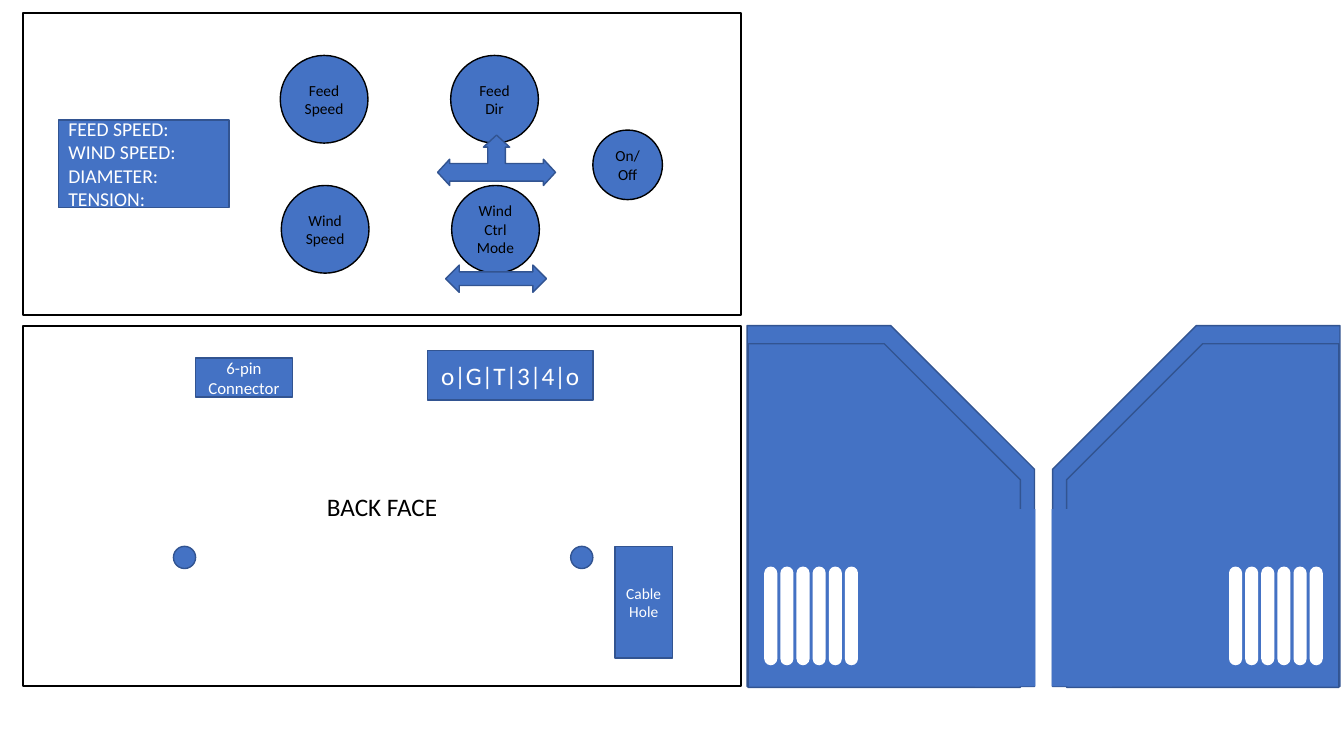
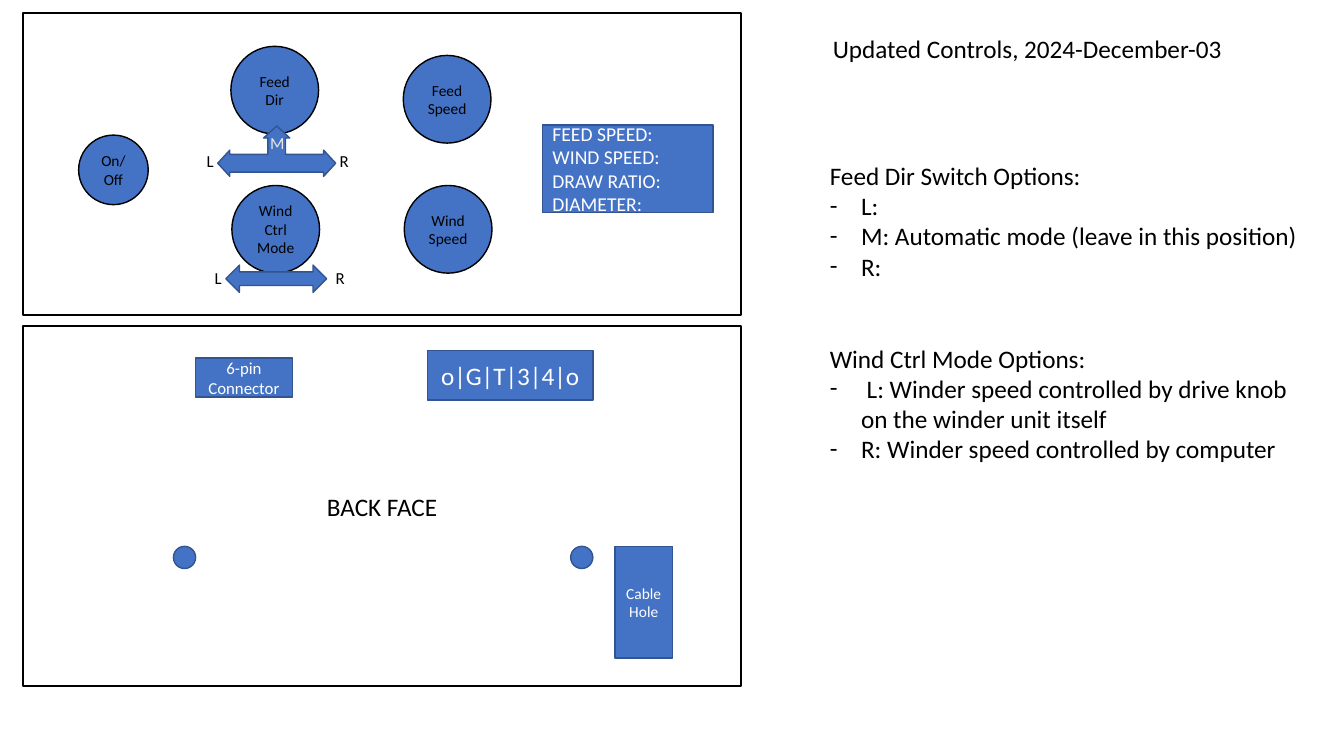
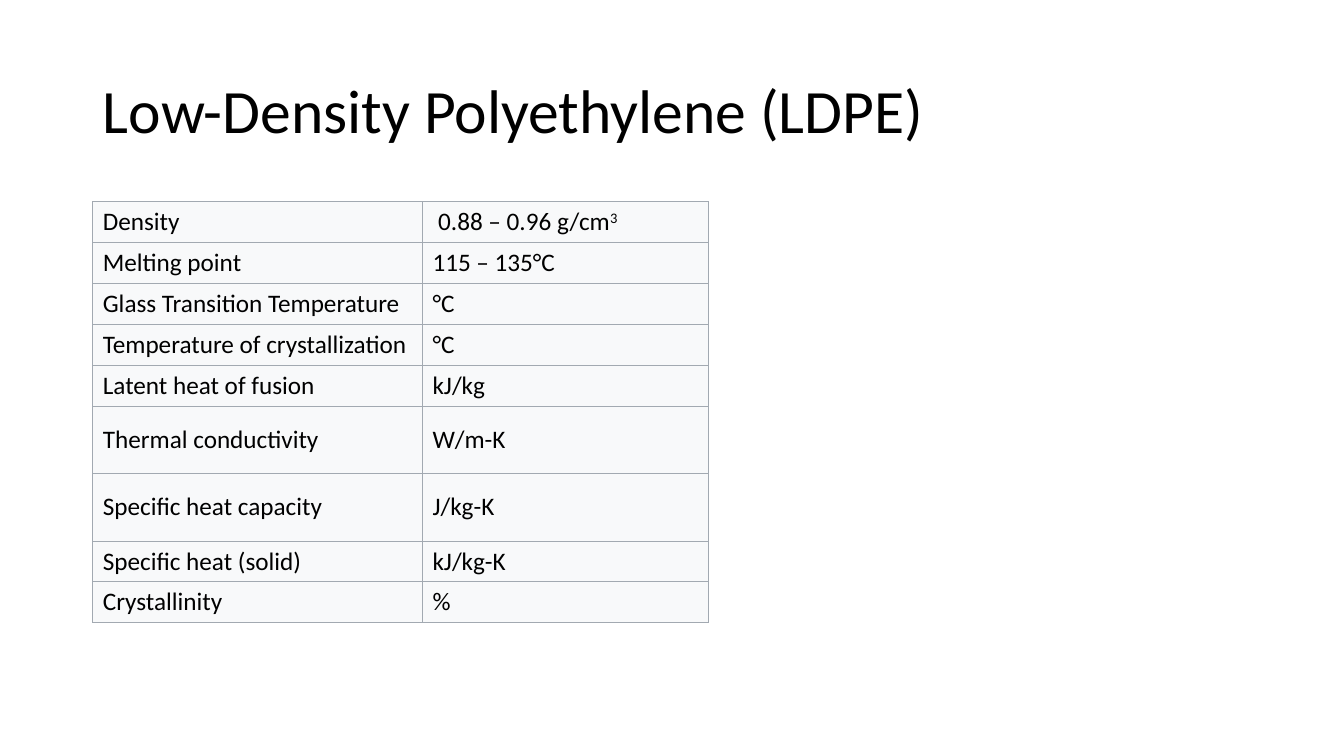
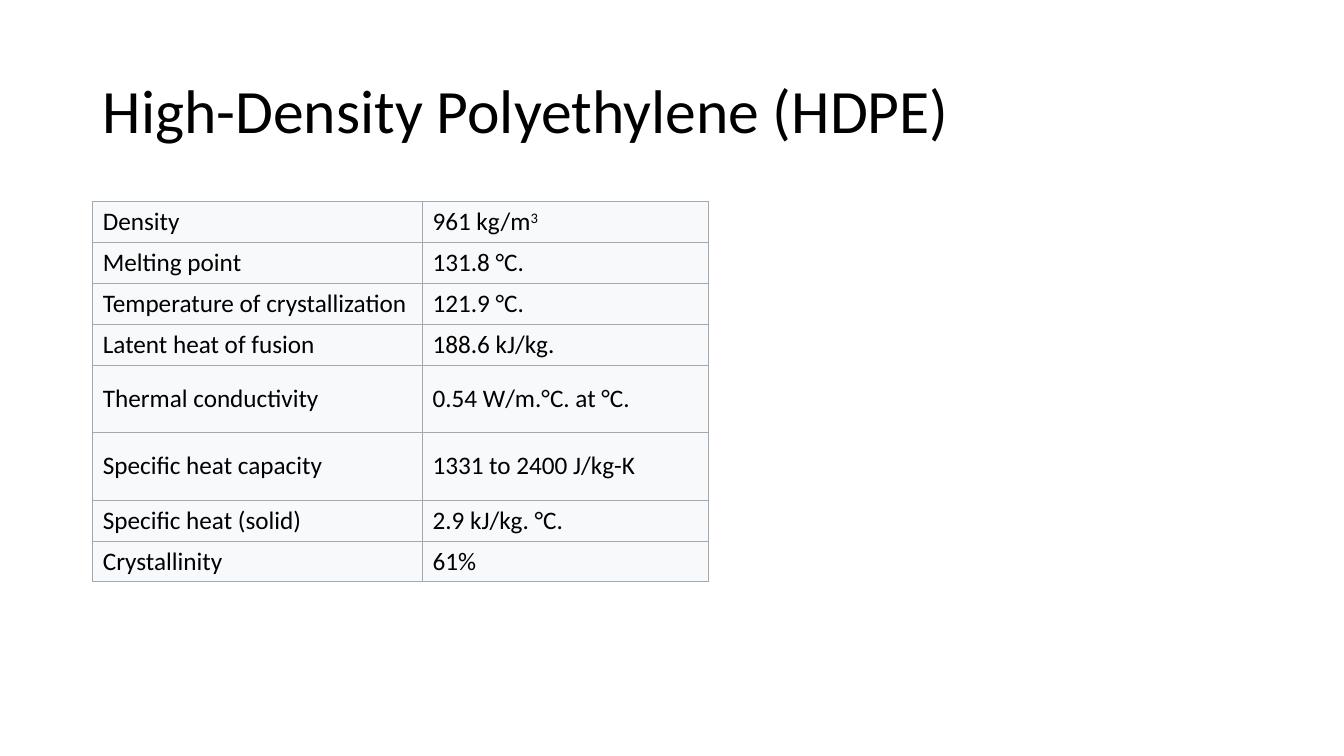
from dataclasses import dataclass

from lxml.etree import SubElement
from pptx import Presentation
from pptx.dml.color import RGBColor as RGB
from pptx.enum.shapes import MSO_SHAPE as SHAPE
from pptx.enum.text import MSO_ANCHOR as ANCHOR, MSO_AUTO_SIZE as AUTO, PP_ALIGN as ALIGN
from pptx.oxml.ns import qn
from pptx.util import Inches, Pt


@dataclass(frozen=True)
class Theme:
    font: str = "Calibri"
    black: RGB = RGB(0x00, 0x00, 0x00)
    white: RGB = RGB(0xFF, 0xFF, 0xFF)
    blue: RGB = RGB(0x44, 0x72, 0xC4)
    edge: RGB = RGB(0x32, 0x54, 0x91)
    pale: RGB = RGB(0xE7, 0xE6, 0xE6)
    cell: RGB = RGB(0xF8, 0xF9, 0xFA)
    border: str = "A2A9B1"
    title: int = 44
    body: int = 18
    screen: int = 14
    label: int = 12
    knob: int = 11


T = Theme()
prs = Presentation()
prs.slide_width, prs.slide_height = Inches(13.33), Inches(7.5)
CELL = prs.slide_height / 7.5  # square grid, 7.5 rows high


def write(tf, lines, size, color=T.black, align=ALIGN.LEFT, anchor=ANCHOR.MIDDLE):
    """Fill a text frame, one paragraph per line; ^ starts a superscript."""
    tf.word_wrap, tf.auto_size, tf.vertical_anchor = True, AUTO.NONE, anchor
    for i, line in enumerate(lines):
        p = tf.add_paragraph() if i else tf.paragraphs[0]
        p.alignment, p.space_before = align, Pt(0)
        for j, part in enumerate(line.split("^")):
            r = p.add_run()
            r.text = part
            r.font.name, r.font.size, r.font.color.rgb = T.font, Pt(size), color
            if j:
                r.font._element.set("baseline", "30000")


def draw(s, kind, box, fill=T.blue, line=T.edge, width=1, adj=(), flip=False):
    """Add a preset shape; box is left, top, width, height in grid cells."""
    sp = s.shapes.add_shape(kind, *(round(v * CELL) for v in box))
    sp.shadow.inherit = False
    for part, color in ((sp.fill, fill), (sp.line.fill, line)):
        if color is None:
            part.background()
        else:
            part.solid()
            part.fore_color.rgb = color
    if line is not None:
        sp.line.width = Pt(width)
    for i, value in enumerate(adj):
        sp.adjustments[i] = value
    if flip:
        sp._element.spPr.find(qn("a:xfrm")).set("flipH", "1")
    return sp


# Control box: both versions share the panels, the back face and the knobs
VERSIONS = [
    dict(layout=6, screen=(0.58, 1.19), last=("DIAMETER:", "TENSION:"),
         switch=5.88, speed=2.78, mode=4.47, dir_top=0.55),
    dict(layout=1, screen=(5.38, 1.24), last=("DRAW RATIO:", "DIAMETER:"),
         switch=0.78, speed=4, mode=2.29, dir_top=0.46),
]
KNOB, LOW_ROW, HIGH_ROW = 0.87, 1.84, 0.55
boxes = []
for v in VERSIONS:
    s = prs.slides.add_slide(prs.slide_layouts[v["layout"]])
    boxes.append(s)

    # Panels
    back = draw(s, SHAPE.RECTANGLE, (0.23, 3.23, 7.12, 3.58), None, T.black, 1.5)
    write(back.text_frame, ["BACK FACE"], T.body, align=ALIGN.CENTER)
    draw(s, SHAPE.RECTANGLE, (0.23, 0.13, 7.12, 3), None, T.black, 1.5)

    # Screen
    left, top = v["screen"]
    screen = draw(s, SHAPE.RECTANGLE, (left, top, 1.69, KNOB))
    write(screen.text_frame, ["FEED SPEED:", "WIND SPEED:", *v["last"]], T.screen, T.white)

    # Knobs and on/off switch
    speed, mode = v["speed"], v["mode"]
    for text, x, y, d in [
        ("Wind Speed", speed + 0.01, LOW_ROW, KNOB),
        ("Feed Speed", speed, HIGH_ROW, KNOB),
        ("On/Off", v["switch"], top + 0.1, 0.69),
        ("Wind Ctrl Mode", mode + 0.01, LOW_ROW, KNOB),
        ("Feed Dir", mode, v["dir_top"], KNOB),
    ]:
        knob = draw(s, SHAPE.OVAL, (x, y, d, d), line=T.black)
        write(knob.text_frame, [text], T.knob, align=ALIGN.CENTER)

    # Switch positions
    draw(s, SHAPE.LEFT_RIGHT_ARROW, (mode - 0.05, 2.63, 1, 0.27))
    draw(s, SHAPE.LEFT_RIGHT_UP_ARROW, (mode - 0.13, v["dir_top"] + 0.79, 1.17, 0.5),
         adj=(0.35, 0.26, 0.25))

    # Back face sockets and holes
    for text, box, size in [
        ("o|G|T|3|4|o", (4.24, 3.48, 1.64, 0.49), T.body),
        ("Cable Hole", (6.1, 5.42, 0.57, 1.11), T.knob),
        ("6-pin Connector", (1.94, 3.55, 0.96, 0.39), T.label),
    ]:
        socket = draw(s, SHAPE.RECTANGLE, box)
        write(socket.text_frame, [text], size, T.white, ALIGN.CENTER)
    for x in (1.72, 5.66):
        draw(s, SHAPE.OVAL, (x, 5.42, 0.22, 0.22))

# Slide 1: side plates, the right one mirrored
sides, notes = boxes
SPAN = 20.7  # left edge of the first plate plus right edge of the second
VENTS = [(7.58 + 0.16 * i, 5.62, 0.13, 0.98) for i in range(6)]
PLATE = [
    (SHAPE.SNIP_1_RECTANGLE, (7.41, 3.23, 2.85, 3.58), T.blue, T.edge, [0.5]),
    (SHAPE.SNIP_1_RECTANGLE, (7.42, 3.41, 2.7, 3.41), T.blue, T.edge, [0.5]),
    *((SHAPE.ROUNDED_RECTANGLE, vent, T.white, None, [0.5]) for vent in VENTS),
    (SHAPE.RECTANGLE, (9.67, 5.05, 0.6, 1.76), T.blue, None, []),
]
for flip in (False, True):
    for kind, (x, y, w, h), fill, line, adj in PLATE:
        x = SPAN - x - w if flip else x
        draw(sides, kind, (x, y, w, h), fill, line, adj=adj, flip=flip)

# Slide 2: switch labels
for text, x, y, color in [
    ("L", 2.03, 2.61, T.black), ("R", 3.23, 2.61, T.black),
    ("L", 1.95, 1.45, T.black), ("R", 3.27, 1.45, T.black),
    ("M", 2.58, 1.27, T.pale),
]:
    tb = notes.shapes.add_textbox(*(round(n * CELL) for n in (x, y, 0.55, 0.3)))
    write(tb.text_frame, [text], T.label, color, anchor=ANCHOR.TOP)

# Slide 2: heading and switch options
OPTIONS = [
    "Feed Dir Switch Options:",
    "L:",
    "M: Automatic mode (leave in this position)",
    "R:",
    "Wind Ctrl Mode Options:",
    " L: Winder speed controlled by drive knob on the winder unit itself",
    "R: Winder speed controlled by computer",
]
heading, options = notes.placeholders
for ph, box, lines in [
    (heading, (8.16, 0.28, 5, 0.4), ["Updated Controls, 2024-December-03"]),
    (options, (8.13, 1.54, 4.97, 3.13), OPTIONS),
]:
    ph.left, ph.top, ph.width, ph.height = (round(n * CELL) for n in box)
    write(ph.text_frame, lines, T.body, anchor=ANCHOR.TOP)
for i, p in enumerate(options.text_frame.paragraphs):
    is_head = p.text.endswith("Options:")
    if is_head and i:
        p.space_before = Pt(44)
    pPr = p._p.get_or_add_pPr()
    indent = 0 if is_head else Inches(0.31)
    pPr.set("marL", str(indent))
    pPr.set("indent", str(-indent))
    if is_head:
        SubElement(pPr, qn("a:buNone"))
    else:
        SubElement(pPr, qn("a:buFont")).set("typeface", T.font)
        SubElement(pPr, qn("a:buChar")).set("char", "-")

# Slides 3 and 4: material properties
layout = prs.slide_layouts[5]
ph = layout.placeholders[0]
ph.left, ph.top, ph.width, ph.height = (round(n * CELL) for n in (0.92, 0.4, 11.5, 1.45))
TALL = ("Thermal conductivity", "Specific heat capacity")
MATERIALS = {
    "Low-Density Polyethylene (LDPE)": [
        ("Density", " 0.88 – 0.96 g/cm^3"),
        ("Melting point", "115 – 135°C"),
        ("Glass Transition Temperature", "°C"),
        ("Temperature of crystallization", "°C"),
        ("Latent heat of fusion", "kJ/kg"),
        ("Thermal conductivity", "W/m-K"),
        ("Specific heat capacity", "J/kg-K"),
        ("Specific heat (solid)", "kJ/kg-K"),
        ("Crystallinity", "%"),
    ],
    "High-Density Polyethylene (HDPE)": [
        ("Density", "961 kg/m^3"),
        ("Melting point", "131.8 °C."),
        ("Temperature of crystallization", "121.9 °C."),
        ("Latent heat of fusion", "188.6 kJ/kg."),
        ("Thermal conductivity", "0.54 W/m.°C. at °C."),
        ("Specific heat capacity", "1331 to 2400 J/kg-K"),
        ("Specific heat (solid)", "2.9 kJ/kg. °C."),
        ("Crystallinity", "61%"),
    ],
}
for name, rows in MATERIALS.items():
    s = prs.slides.add_slide(layout)
    write(s.shapes.title.text_frame, [name], T.title)
    s.shapes.title.text_frame.paragraphs[0].line_spacing = 0.9

    heights = [0.67 if label in TALL else 0.4 for label, _ in rows]
    box = (0.92, 2, 6.11, sum(heights))
    tbl = s.shapes.add_table(len(rows), 2, *(round(n * CELL) for n in box)).table
    tbl.first_row = tbl.horz_banding = False
    for col, w in zip(tbl.columns, (3.27, 2.84)):
        col.width = round(w * CELL)
    for row, h, texts in zip(tbl.rows, heights, rows):
        row.height = round(h * CELL)
        for cell, text in zip(row.cells, texts):
            write(cell.text_frame, [text], T.body)
            cell.vertical_anchor = ANCHOR.MIDDLE
            # Borders go before the fill in the cell properties
            tcPr = cell._tc.get_or_add_tcPr()
            for side in ("lnL", "lnR", "lnT", "lnB"):
                ln = SubElement(tcPr, qn(f"a:{side}"), w=str(Pt(0.75)))
                SubElement(SubElement(ln, qn("a:solidFill")), qn("a:srgbClr"), val=T.border)
            cell.fill.solid()
            cell.fill.fore_color.rgb = T.cell

prs.save("out.pptx")
